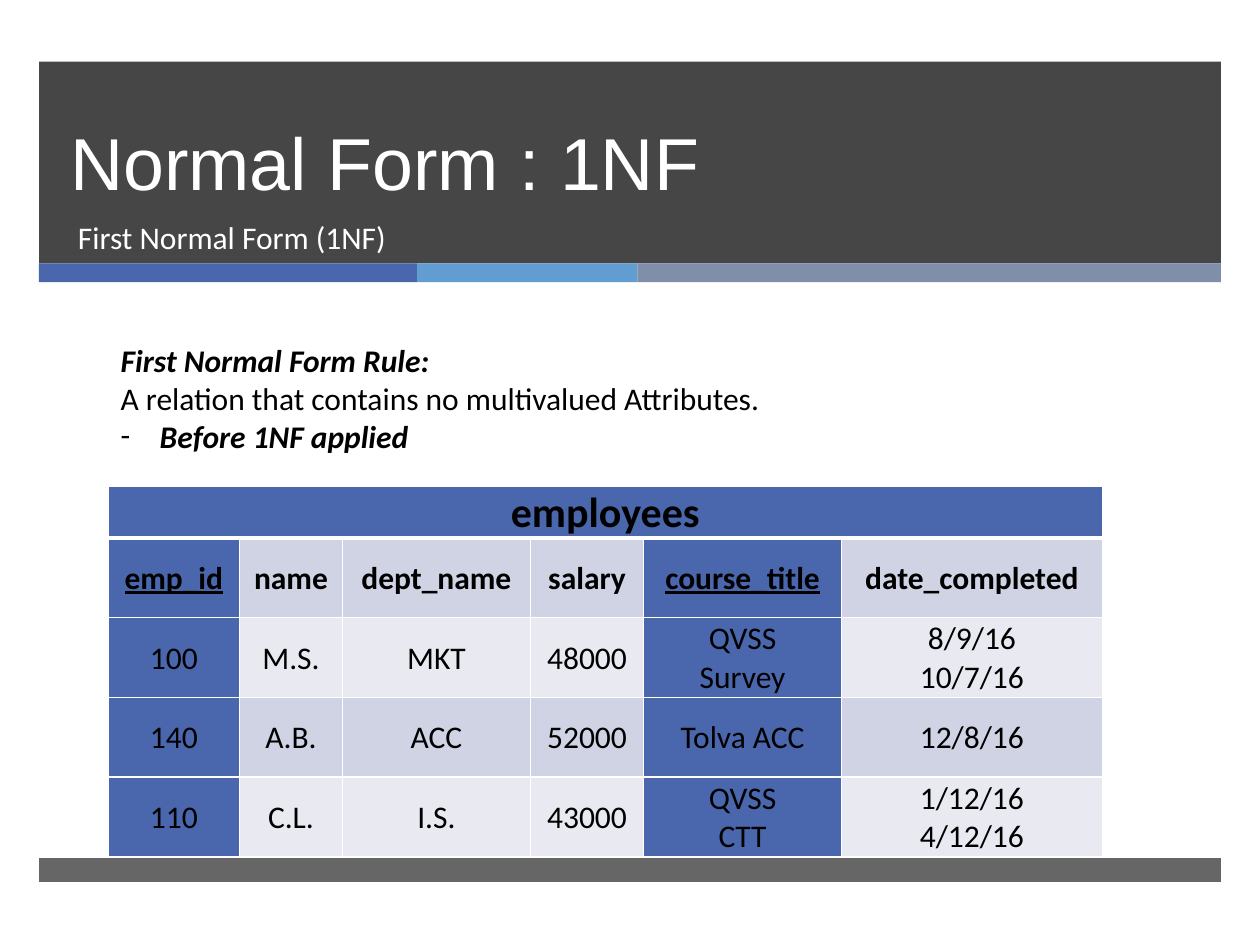
from lxml.etree import SubElement
from pptx import Presentation
from pptx.dml.color import RGBColor
from pptx.enum.shapes import MSO_SHAPE
from pptx.enum.text import MSO_ANCHOR, PP_ALIGN
from pptx.oxml import parse_xml
from pptx.oxml.ns import nsdecls, qn
from pptx.util import Inches, Pt

WHITE = RGBColor(0xFF, 0xFF, 0xFF)
BLACK = RGBColor(0, 0, 0)
DARK = RGBColor(0x26, 0x26, 0x26)
BLUE = RGBColor(0x4A, 0x66, 0xAC)
SKY = RGBColor(0x62, 0x9D, 0xD1)
SLATE = RGBColor(0x7F, 0x8F, 0xA9)
BAND_DARK = RGBColor(0xD0, 0xD3, 0xE3)
BAND_LIGHT = RGBColor(0xE9, 0xEA, 0xF1)

# The slide is a grid of 100 columns by 75 rows
COLUMNS, ROWS = 100, 75
LEFT, WIDTH = 3.1, 93.8

HEADER = ["emp_id", "name", "dept_name", "salary", "course_title", "date_completed"]
EMPLOYEES = [
    ["100", "M.S.", "MKT", "48000", "QVSS\nSurvey", "8/9/16\n10/7/16"],
    ["140", "A.B.", "ACC", "52000", "Tolva ACC", "12/8/16"],
    ["110", "C.L.", "I.S.", "43000", "QVSS\nCTT", "1/12/16\n4/12/16"],
]
KEY_COLUMNS = (0, 4)


class SlideBuilder:
    def __init__(self, presentation):
        self.slide = presentation.slides.add_slide(presentation.slide_layouts[6])
        self.unit_x = presentation.slide_width / COLUMNS
        self.unit_y = presentation.slide_height / ROWS

    def across(self, columns):
        return round(columns * self.unit_x)

    def down(self, rows):
        return round(rows * self.unit_y)

    def place(self, left, top, width, height):
        return self.across(left), self.down(top), self.across(width), self.down(height)

    def style(self, paragraph, size=18, color=BLACK, font="Calibri", bold=False, italic=False):
        paragraph.font.size = Pt(size)
        paragraph.font.name = font
        paragraph.font.color.rgb = color
        paragraph.font.bold = bold
        paragraph.font.italic = italic

    def bar(self, left, top, width, height, color, opacity=100):
        shape = self.slide.shapes.add_shape(
            MSO_SHAPE.RECTANGLE, *self.place(left, top, width, height))
        shape.shadow.inherit = False
        shape.fill.solid()
        shape.fill.fore_color.rgb = color
        shape.line.fill.background()
        if opacity < 100:
            color_element = shape.fill._xPr.find(qn("a:solidFill"))[0]
            SubElement(color_element, qn("a:alpha"), val=str(opacity * 1000))

    def text(self, left, top, width, height, lines, anchor=MSO_ANCHOR.TOP):
        """Add a text box; lines are (text, style) pairs. Return its paragraphs."""
        frame = self.slide.shapes.add_textbox(
            *self.place(left, top, width, height)).text_frame
        frame.word_wrap = True
        frame.vertical_anchor = anchor
        for index, (content, style) in enumerate(lines):
            paragraph = frame.add_paragraph() if index else frame.paragraphs[0]
            paragraph.text = content
            self.style(paragraph, **style)
        return frame.paragraphs

    def bullet(self, paragraph, character, indent):
        properties = paragraph._p.get_or_add_pPr()
        properties.set("marL", str(self.across(indent)))
        properties.set("indent", str(-self.across(indent)))
        for markup in ('buFont {} typeface="Calibri"', f'buChar {{}} char="{character}"'):
            mark = parse_xml(f'<a:{markup.format(nsdecls("a"))}/>')
            properties.insert_element_before(mark, "a:tabLst", "a:defRPr", "a:extLst")

    def table(self, left, top, widths, heights):
        table = self.slide.shapes.add_table(
            len(heights), len(widths),
            *self.place(left, top, sum(widths), sum(heights))).table
        for column, width in zip(table.columns, widths):
            column.width = self.across(width)
        for row, height in zip(table.rows, heights):
            row.height = self.down(height)
        return table

    def cell(self, cell, content, fill, size=18, bold=False, underline=False, bottom=1):
        cell.text = content
        cell.vertical_anchor = MSO_ANCHOR.MIDDLE
        cell.margin_left = cell.margin_right = self.across(0.6)
        cell.margin_top, cell.margin_bottom = self.down(0.1), 0
        cell.fill.solid()
        cell.fill.fore_color.rgb = fill
        for paragraph in cell.text_frame.paragraphs:
            paragraph.alignment = PP_ALIGN.CENTER
            self.style(paragraph, size, bold=bold)
            paragraph.font.underline = underline
        # Borders come before the fill in the cell properties
        sides = {"lnL": 1, "lnR": 1, "lnT": 1, "lnB": bottom}
        for index, (side, points) in enumerate(sides.items()):
            cell._tc.get_or_add_tcPr().insert(index, parse_xml(
                f'<a:{side} {nsdecls("a")} w="{Pt(points)}"><a:solidFill>'
                f'<a:srgbClr val="{WHITE}"/></a:solidFill></a:{side}>'))


def main():
    presentation = Presentation()
    presentation.slide_width, presentation.slide_height = Inches(10), Inches(7.5)
    builder = SlideBuilder(presentation)

    # Title band, accent strip and footer
    builder.bar(LEFT, 4.9, WIDTH, 16, DARK, opacity=85)
    accent_left = LEFT
    for width, color in ((30, BLUE), (17.5, SKY), (46.3, SLATE)):
        builder.bar(accent_left, 20.9, width, 1.5, color)
        accent_left += width
    builder.bar(LEFT, 68.1, WIDTH, 1.9, DARK, opacity=70)

    # Title and subtitle
    title, = builder.text(
        4.6, 4.9, 85.4, 11.9,
        [("Normal Form : 1NF", dict(size=42, color=WHITE, font="Arial"))],
        MSO_ANCHOR.BOTTOM)
    title.line_spacing = Pt(46)
    builder.text(5.2, 16.8, 84.8, 5.3, [("First Normal Form (1NF)", dict(color=WHITE))])

    # Rule
    emphasis = dict(bold=True, italic=True)
    rule = builder.text(8.6, 26.6, 84.3, 10, [
        ("First Normal Form Rule:", emphasis),
        ("A relation that contains no multivalued Attributes.", {}),
        ("Before 1NF applied", emphasis),
    ])
    builder.bullet(rule[-1], "-", 3.1)

    # Employees table
    table = builder.table(8.6, 38.6, [10.4, 8.2, 14.9, 9, 15.7, 20.7], [4] + [6.33] * 4)
    table.cell(0, 0).merge(table.cell(0, len(HEADER) - 1))
    for column in range(len(HEADER)):
        builder.cell(table.cell(0, column), "" if column else "employees", BLUE,
                     size=24, bold=True, bottom=3)
    for row, values in enumerate([HEADER] + EMPLOYEES, start=1):
        band = BAND_DARK if row % 2 else BAND_LIGHT
        for column, value in enumerate(values):
            is_key = column in KEY_COLUMNS
            builder.cell(table.cell(row, column), value, BLUE if is_key else band,
                         bold=row == 1, underline=row == 1 and is_key)

    presentation.save("out.pptx")


if __name__ == "__main__":
    main()
